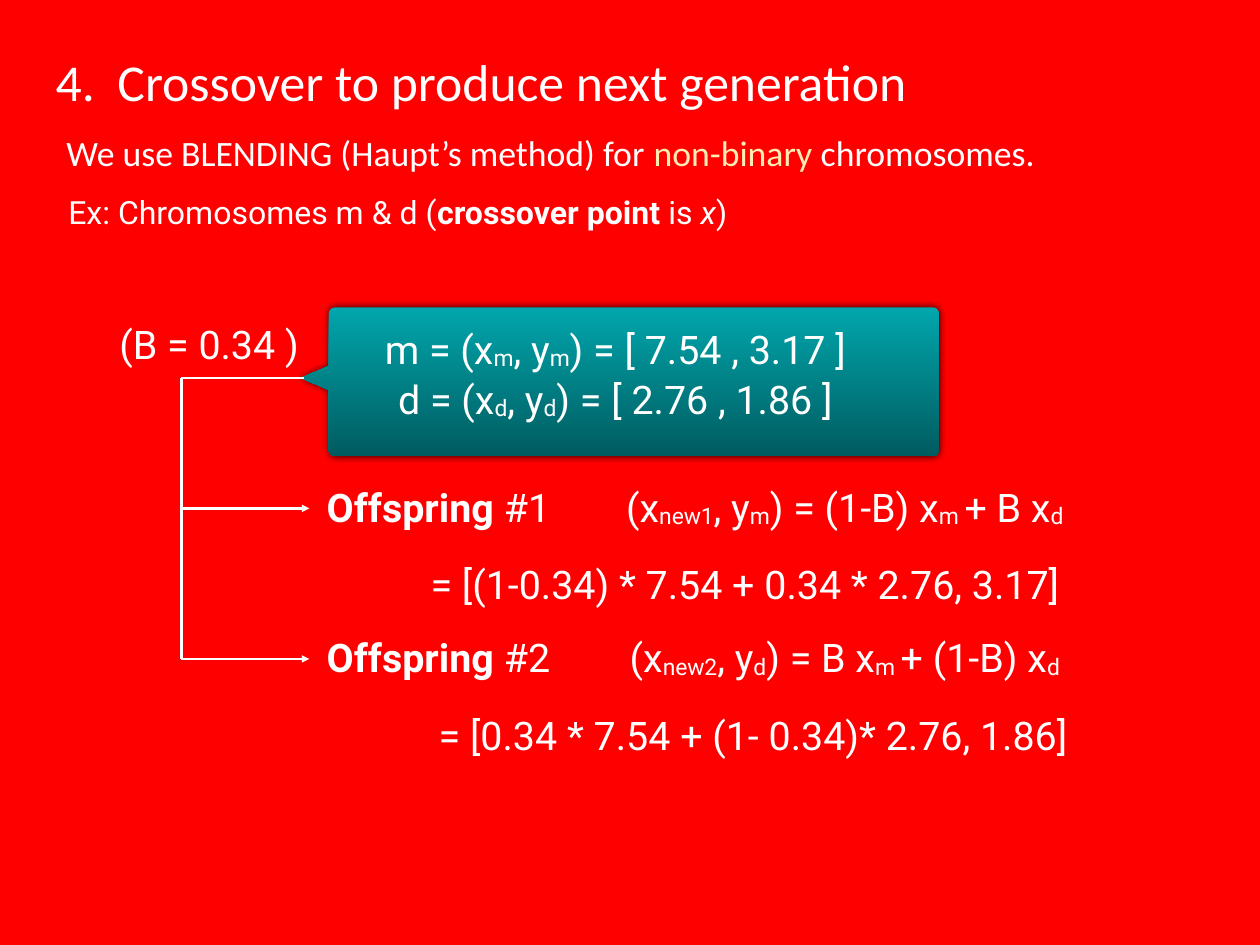
import math
from dataclasses import dataclass
from lxml import etree
from pptx import Presentation
from pptx import util as u
from pptx.dml.color import RGBColor
from pptx.enum import shapes, text
from pptx.oxml.ns import qn

WIDTH, HEIGHT = 14.22, 10.67
COLS, ROWS = 100, 75


@dataclass(frozen=True)
class Theme:
    back: str = "FF0000"
    ink: str = "FFFFFF"
    accent: str = "FFECB3"
    callout_top: str = "00A6AC"
    callout_bottom: str = "005C60"
    shadow: str = "000000"
    head_font: str = "Calibri"
    body_font: str = "Roboto"
    title: int = 42
    intro: int = 29
    example: int = 26
    formula: int = 32
    sub: int = -6000
    rule: int = 2
    inset: float = 0.06


THEME = Theme()


@dataclass(frozen=True)
class Box:
    x: float
    y: float
    w: float
    h: float

    def inner(self, dx, dy, w, h):
        return Box(self.x + dx, self.y + dy, w, h)

    def emu(self):
        return across(self.x), down(self.y), across(self.w), down(self.h)


def across(cols):
    return u.Inches(WIDTH * cols / COLS)


def down(rows):
    return u.Inches(HEIGHT * rows / ROWS)


def rgb(value):
    return RGBColor.from_string(value)


def fill_text(sp, runs, size, font, align):
    tf = sp.text_frame
    tf.word_wrap = True
    tf.auto_size = text.MSO_AUTO_SIZE.SHAPE_TO_FIT_TEXT
    tf.vertical_anchor = text.MSO_ANCHOR.MIDDLE
    tf.margin_left = tf.margin_right = u.Inches(THEME.inset)
    tf.margin_top = tf.margin_bottom = u.Inches(THEME.inset)
    p = tf.paragraphs[0]
    p.alignment = align
    for words, style in runs:
        r = p.add_run()
        r.text = words
        r.font.size = u.Pt(size)
        r.font.name = font
        r.font.bold = style == "bold"
        r.font.italic = style == "italic"
        r.font.color.rgb = rgb(THEME.accent if style == "accent" else THEME.ink)
        if style == "sub":
            r.font._element.set("baseline", str(THEME.sub))
    return p


def add_text(s, box, runs, size=THEME.formula, font=THEME.body_font,
             align=text.PP_ALIGN.LEFT):
    sp = s.shapes.add_textbox(*box.emu())
    fill_text(sp, runs, size, font, align)


def add_formula(s, box, parts):
    runs = [(words, "sub" if i % 2 else "") for i, words in enumerate(parts)]
    add_text(s, box, runs, align=text.PP_ALIGN.CENTER)


def add_line(s, start, end, arrow=False):
    line = s.shapes.add_connector(
        shapes.MSO_CONNECTOR.STRAIGHT,
        across(start[0]), down(start[1]), across(end[0]), down(end[1]))
    line.line.color.rgb = rgb(THEME.ink)
    line.line.width = u.Pt(THEME.rule)
    if arrow:
        etree.SubElement(line.line._get_or_add_ln(), qn("a:tailEnd"), type="triangle")
    etree.SubElement(line._element.spPr, qn("a:effectLst"))


def heading(s, box):
    sp = s.shapes.title
    sp.left, sp.top, sp.width, sp.height = box.inner(0, 0, 71.5, 5.55).emu()
    p = fill_text(sp, [("4.\tCrossover to produce next generation", "")],
                  THEME.title, THEME.head_font, text.PP_ALIGN.LEFT)
    tabs = etree.SubElement(p._p.get_or_add_pPr(), qn("a:tabLst"))
    etree.SubElement(tabs, qn("a:tab"), pos=str(across(4.9)), algn="l")
    add_text(s, box.inner(0.85, 6.4, 93.65, 4.05),
             [("We use BLENDING (Haupt’s method) for ", ""),
              ("non-binary", "accent"), (" chromosomes.", "")],
             THEME.intro, THEME.head_font)
    add_text(s, box.inner(1, 11.25, 66.7, 3.8),
             [("Ex: Chromosomes m & d (", ""), ("crossover point", "bold"),
              (" is ", ""), ("x", "italic"), (")", "")], THEME.example)


def callout_outline(box, radius=0.5, steps=6):
    right, bottom = box.x + box.w, box.y + box.h
    corners = [(box.x + radius, box.y + radius, 180),
               (right - radius, box.y + radius, 270),
               (right - radius, bottom - radius, 0),
               (box.x + radius, bottom - radius, 90)]
    points = []
    for cx, cy, start in corners:
        for i in range(steps + 1):
            angle = math.radians(start + 90 * i / steps)
            points.append((cx + radius * math.cos(angle), cy + radius * math.sin(angle)))
    tip = box.y + 5.6
    points += [(box.x, tip + 0.95), (box.x - 2.25, tip), (box.x, tip - 0.95)]
    return [(across(x), down(y)) for x, y in points]


def parents(s, box):
    first, *rest = callout_outline(box)
    builder = s.shapes.build_freeform(*first)
    builder.add_line_segments(rest, close=True)
    sp = builder.convert_to_shape()
    sp.fill.gradient()
    sp.fill.gradient_angle = 270
    for stop, colour in zip(sp.fill.gradient_stops,
                            (THEME.callout_top, THEME.callout_bottom)):
        stop.color.rgb = rgb(colour)
    sp.line.fill.background()
    sp.shadow.inherit = False
    shadow = etree.SubElement(
        sp._element.spPr.find(qn("a:effectLst")), qn("a:outerShdw"),
        blurRad=str(u.Pt(6)), dist="0", dir="18900000", rotWithShape="0")
    colour = etree.SubElement(shadow, qn("a:srgbClr"), val=THEME.shadow)
    etree.SubElement(colour, qn("a:alpha"), val="80000")
    rows = [("m = (x", "m", ", y", "m", ") = [ 7.54 , 3.17 ]"),
            ("d = (x", "d", ", y", "d", ") = [ 2.76 , 1.86 ]")]
    for i, parts in enumerate(rows):
        add_formula(s, box.inner(0, 1 + 4 * i, 45.5, 4.5), parts)


def bracket(s, box, branches):
    right, bottom = box.x + box.w, box.y + box.h
    add_formula(s, box.inner(-6.45, -5, 17.3, 4.5), ["(B = 0.34 )"])
    add_line(s, (box.x, box.y), (right - 0.45, box.y))
    add_line(s, (box.x, box.y), (box.x, bottom))
    for y in branches:
        add_line(s, (box.x, y), (right, y), arrow=True)


def offspring(s, box, number, parts, result, indent):
    add_text(s, box.inner(0, 0, 24, 4.5),
             [("Offspring", "bold"), (f" #{number}", "")], align=text.PP_ALIGN.CENTER)
    add_formula(s, box.inner(21.5, 0, 45.5, 4.5), parts)
    add_text(s, box.inner(indent, 6.15, 55.75, 4.5), [(result, "")])


def main():
    prs = Presentation()
    prs.slide_width, prs.slide_height = u.Inches(WIDTH), u.Inches(HEIGHT)
    s = prs.slides.add_slide(prs.slide_layouts[5])
    s.background.fill.solid()
    s.background.fill.fore_color.rgb = rgb(THEME.back)
    heading(s, Box(4, 3.65, 93, 15))
    parents(s, Box(26.1, 24.4, 48.45, 11.8))
    children = [
        (("(x", "new1", ", y", "m", ") = (1-B) x", "m ", "+ B x", "d"),
         "= [(1-0.34) * 7.54 + 0.34 * 2.76, 3.17]", 10.95),
        (("(x", "new2", ", y", "d", ") = B x", "m ", "+ (1-B) x", "d"),
         "= [0.34 * 7.54 + (1- 0.34)* 2.76, 1.86]", 11.6)]
    boxes = [Box(22.8, 37.95 + 11.95 * i, 67, 10.65) for i in range(len(children))]
    bracket(s, Box(14.4, 30, 10.15, 22.3), [box.y + 2.4 for box in boxes])
    for number, (box, child) in enumerate(zip(boxes, children), 1):
        offspring(s, box, number, *child)
    prs.save("out.pptx")


if __name__ == "__main__":
    main()
